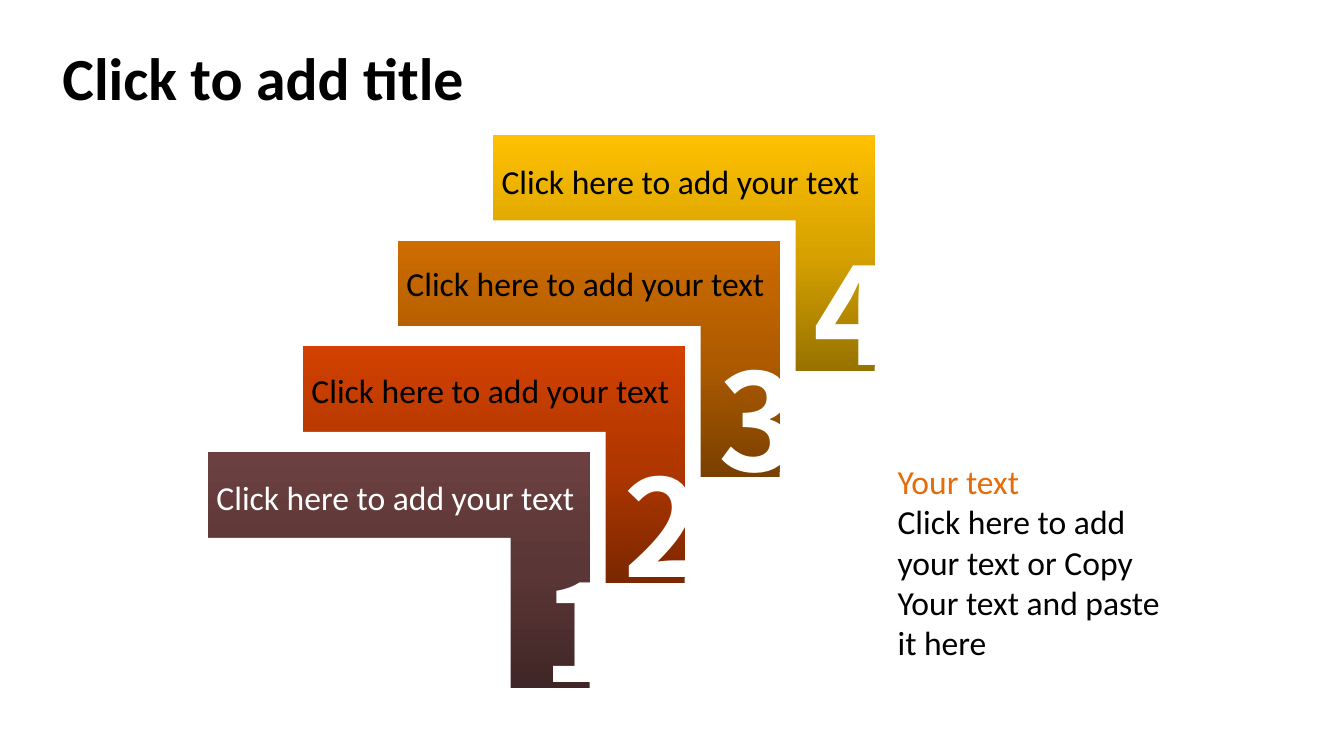
from copy import deepcopy
from pptx import Presentation
from pptx.dml.color import RGBColor
from pptx.enum.shapes import MSO_SHAPE as Shape
from pptx.enum.text import MSO_ANCHOR as Anchor, MSO_AUTO_SIZE as Auto, PP_ALIGN as Align
from pptx.oxml.ns import qn
from pptx.util import Pt

# Content
WHITE, BLACK, ORANGE = "FFFFFF", "000000", "E46C0A"
TITLE = "Click to add title"
LABEL = "Click here to add your text"
# Number, number offset, label offset, label colour, gradient from bottom to top
STEPS = [
    ("4", 164.4, 10.6, BLACK, ("977200", "D7A200", "FFC000")),
    ("3", 164.4, 8.6, BLACK, ("7A4000", "AE5B00", "CE6C00")),
    ("2", 164.4, 9.2, BLACK, ("7C2700", "B13700", "D24100")),
    ("1", 172, 9.8, WHITE, ("402626", "5B3636", "6C4040")),
]
NOTE = [
    ("Your text", ORANGE),
    ("Click here to add", BLACK),
    ("your text or Copy", BLACK),
    ("Your text and paste", BLACK),
    ("it here", BLACK),
]

# Layout in points
LEFT, TOP = 264.1, 72.2
DX, DY = -50.9, 56.7
CARD_W, CARD_H = 204.5, 126.6
CUT_W, CUT_H = 162.7, 81.2


def color(code):
    return RGBColor.from_string(code)


def write(box, lines, size=18, font="Calibri", bold=False,
          align=Align.LEFT, wrap=False):
    frame = box.text_frame
    frame.word_wrap = wrap
    frame.auto_size = Auto.SHAPE_TO_FIT_TEXT
    frame.vertical_anchor = Anchor.TOP
    for i, (text, code) in enumerate(lines):
        par = frame.add_paragraph() if i else frame.paragraphs[0]
        par.alignment = align
        run = par.add_run()
        run.text = text
        run.font.size, run.font.name, run.font.bold = Pt(size), font, bold
        run.font.color.rgb = color(code)


def put_text(x, y, w, h, lines, **style):
    box = slide.shapes.add_textbox(Pt(x), Pt(y), Pt(w), Pt(h))
    write(box, lines, **style)


def add_rect(group, x, y, w, h):
    rect = group.shapes.add_shape(Shape.RECTANGLE, Pt(x), Pt(y), Pt(w), Pt(h))
    rect.shadow.inherit = False
    rect.line.fill.background()
    return rect


def shade(rect, codes):
    fill = rect.fill
    fill.gradient()
    fill.gradient_angle = 90
    first = next(rect._element.spPr.iter(qn("a:gs")))
    first.addnext(deepcopy(first))
    for i, (stop, code) in enumerate(zip(fill.gradient_stops, codes)):
        stop.position = i / 2
        stop.color.rgb = color(code)


deck = Presentation()
deck.slide_width, deck.slide_height = Pt(720), Pt(405)
slide = deck.slides.add_slide(deck.slide_layouts[5])
slide.background.fill.solid()
slide.background.fill.fore_color.rgb = color(WHITE)

# Title
title = slide.shapes.title
title.left, title.top, title.width, title.height = Pt(25.2), Pt(18), Pt(231.8), Pt(46)
write(title, [(TITLE, BLACK)], size=32, bold=True, align=Align.CENTER)

# Stair cards, each with its lower left corner cut away
spots = [(LEFT + i * DX, TOP + i * DY) for i in range(len(STEPS))]
for (x, y), (*_, codes) in zip(spots, STEPS):
    group = slide.shapes.add_group_shape()
    shade(add_rect(group, x, y, CARD_W, CARD_H), codes)
    cut = add_rect(group, x - 0.5, y + CARD_H - CUT_H + 0.4, CUT_W, CUT_H)
    cut.fill.solid()
    cut.fill.fore_color.rgb = color(WHITE)

# Numbers and labels
for (x, y), (num, num_x, lab_y, code, _) in zip(spots, STEPS):
    put_text(x + num_x, y + 48, 51, 94.3, [(num, WHITE)],
             size=72, font="Noto Sans CJK JP", bold=True)
    put_text(x - 2.5, y + lab_y, 208.8, 29, [(LABEL, code)])

# Side note
put_text(473.8, 243.4, 184.3, 160, NOTE, wrap=True)

deck.save("out.pptx")
